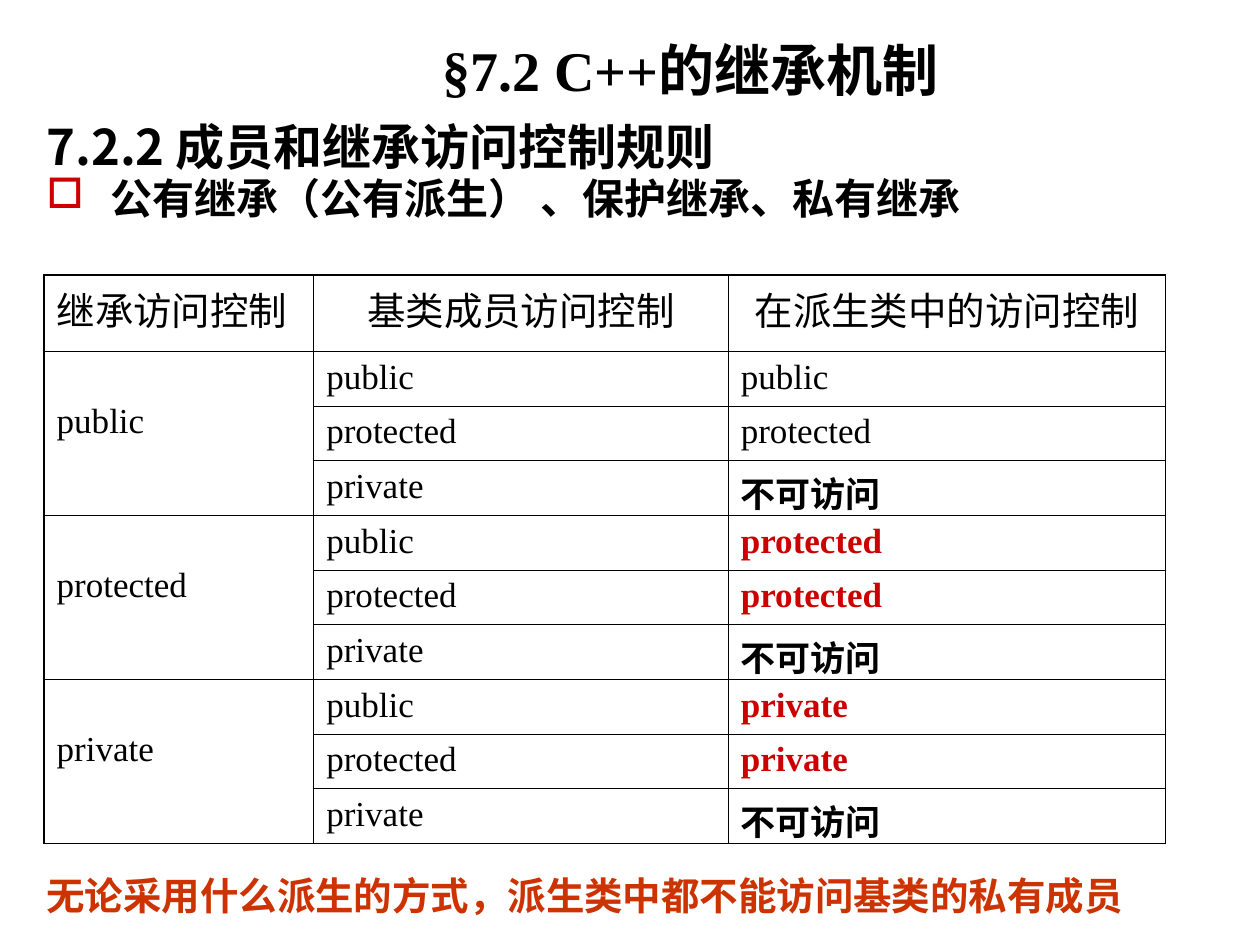
from lxml import etree
from pptx import Presentation
from pptx import util as u
from pptx.dml.color import RGBColor
from pptx.enum import text
from pptx.oxml.ns import qn

BLACK = RGBColor(0x00, 0x00, 0x00)
RED = RGBColor(0xCC, 0x00, 0x00)
RUST = RGBColor(0xCC, 0x33, 0x00)
SERIF, SANS = "Times New Roman", "Noto Sans CJK SC"

TITLE = "§7.2 C++的继承机制"
HEAD = "7.2.2 成员和继承访问控制规则"
TOPIC = "公有继承（公有派生） 、保护继承、私有继承"
NOTE = "无论采用什么派生的方式，派生类中都不能访问基类的私有成员"

LABELS = ["继承访问控制", "基类成员访问控制", "在派生类中的访问控制"]
BASE = ["public", "protected", "private"]
HIDDEN = "不可访问"
RULES = {
    "public": ["public", "protected", HIDDEN],
    "protected": ["protected", "protected", HIDDEN],
    "private": ["private", "private", HIDDEN],
}

COLS = [2.14, 3.29, 3.47]
HIGH, LOW = 0.61, 0.43
THIN, THICK = 0.45, 1.08
ROWS = 1 + len(RULES) * len(BASE)


def style(para, size, color=BLACK, bold=False, face=SERIF):
    font = para.font
    font.size, font.bold, font.name = u.Pt(size), bold, face
    font.color.rgb = color


def add_box(slide, left, top, width, height):
    box = slide.shapes.add_textbox(*map(u.Inches, (left, top, width, height)))
    box.text_frame.word_wrap = True
    return box.text_frame


def add_bullet(para, mark, color, indent):
    props = para._p.get_or_add_pPr()
    props.set("marL", str(u.Inches(indent)))
    props.set("indent", str(-u.Inches(indent)))
    tint = etree.SubElement(props, qn("a:buClr"))
    etree.SubElement(tint, qn("a:srgbClr"), val=str(color))
    etree.SubElement(props, qn("a:buChar"), char=mark)


def rule_cell(cell, row, col, span=1):
    """Draw thick lines on the table's rim and thin lines inside."""
    props = cell._tc.get_or_add_tcPr()
    rim = {"L": col == 0, "R": col == len(COLS) - 1,
           "T": row == 0, "B": row + span == ROWS}
    for side, outer in rim.items():
        line = etree.SubElement(props, qn("a:ln" + side),
                                w=str(u.Pt(THICK if outer else THIN)))
        fill = etree.SubElement(line, qn("a:solidFill"))
        etree.SubElement(fill, qn("a:srgbClr"), val=str(BLACK))
    cell.fill.background()


def write(cell, words, size=20, color=BLACK, bold=False):
    cell.text = words
    para = cell.text_frame.paragraphs[0]
    style(para, size, color, bold)
    return para


def add_rules(slide):
    table = slide.shapes.add_table(
        ROWS, len(COLS), u.Inches(0.35), u.Inches(2.18),
        u.Inches(sum(COLS)), u.Inches(HIGH + LOW * (ROWS - 1))).table
    table.first_row = table.horz_banding = False
    for col, width in zip(table.columns, COLS):
        col.width = u.Inches(width)
    for i, row in enumerate(table.rows):
        row.height = u.Inches(LOW if i else HIGH)

    for col, label in enumerate(LABELS):
        para = write(table.cell(0, col), label, 22)
        if col:
            para.alignment = text.PP_ALIGN.CENTER

    step = len(BASE)
    for group, (kind, results) in enumerate(RULES.items()):
        top = 1 + group * step
        first = table.cell(top, 0)
        first.merge(table.cell(top + step - 1, 0))
        write(first, kind)
        first.vertical_anchor = text.MSO_ANCHOR.MIDDLE
        first.margin_bottom = u.Inches(0.24)
        for i, (base, result) in enumerate(zip(BASE, results)):
            write(table.cell(top + i, 1), base)
            changed = kind != "public" and result != HIDDEN
            write(table.cell(top + i, 2), result,
                  color=RED if changed else BLACK,
                  bold=changed or result == HIDDEN)

    for row in range(ROWS):
        for col in range(len(COLS)):
            cell = table.cell(row, col)
            span = cell.span_height if cell.is_merge_origin else 1
            rule_cell(cell, row, col, span)


def main():
    deck = Presentation()
    deck.slide_width, deck.slide_height = u.Inches(10), u.Inches(7.5)
    slide = deck.slides.add_slide(deck.slide_layouts[6])

    frame = add_box(slide, 1.22, 0.21, 8.52, 0.68)
    frame.vertical_anchor = text.MSO_ANCHOR.MIDDLE
    para = frame.paragraphs[0]
    para.text, para.alignment = TITLE, text.PP_ALIGN.CENTER
    style(para, 32, bold=True)

    frame = add_box(slide, 0.27, 0.93, 9.48, 1.1)
    head, topic = frame.paragraphs[0], frame.add_paragraph()
    head.text, topic.text = HEAD, TOPIC
    add_bullet(topic, "□", RED, 0.51)
    head.line_spacing = topic.line_spacing = 0.9
    topic.space_before = u.Pt(1)
    style(head, 28, bold=True, face=SANS)
    style(topic, 24, bold=True)

    add_rules(slide)

    para = add_box(slide, 0.27, 6.87, 9.48, 0.55).paragraphs[0]
    para.text = NOTE
    style(para, 22, RUST, bold=True)

    deck.save("out.pptx")


if __name__ == "__main__":
    main()
